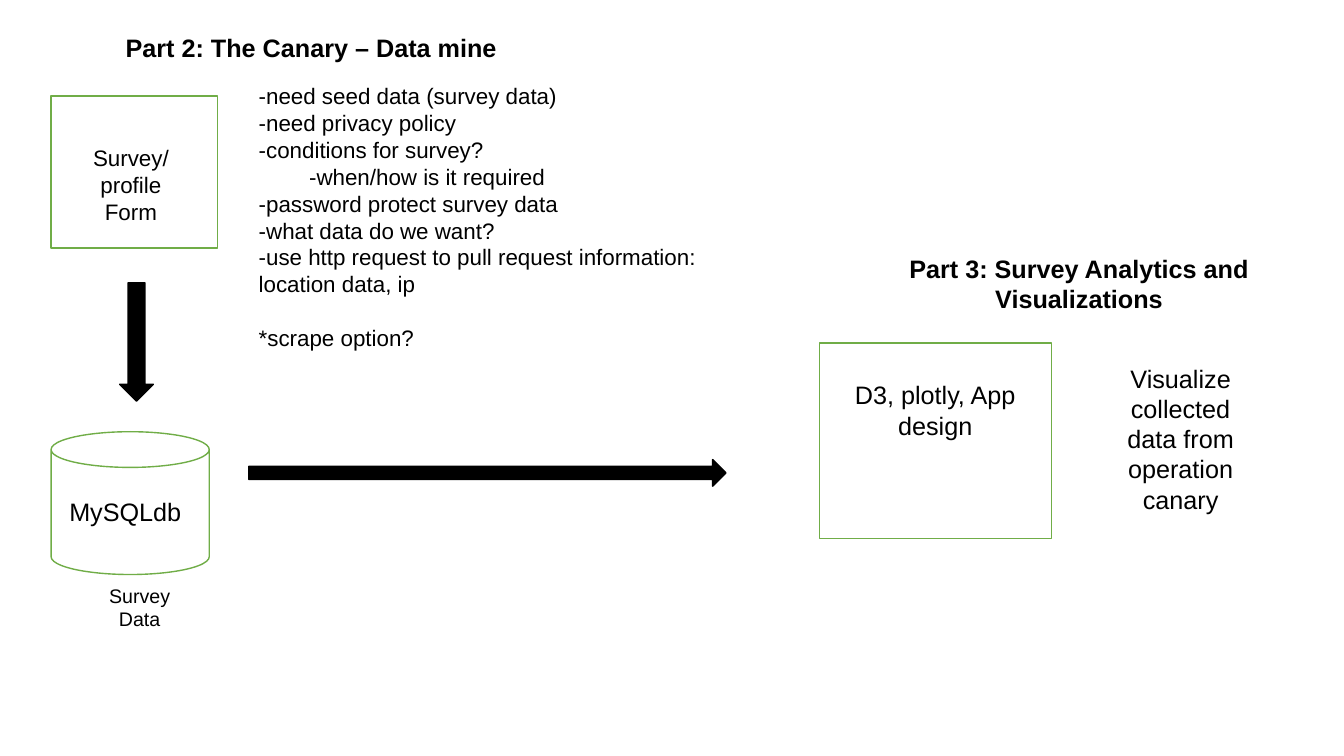
from dataclasses import dataclass

from pptx import Presentation
from pptx import util as u
from pptx.dml.color import RGBColor
from pptx.enum import shapes, text

BLACK = RGBColor(0x00, 0x00, 0x00)
WHITE = RGBColor(0xFF, 0xFF, 0xFF)
GREEN = RGBColor(0x70, 0xAD, 0x47)
SHAPE = shapes.MSO_SHAPE
CENTER, LEFT = text.PP_ALIGN.CENTER, text.PP_ALIGN.LEFT


@dataclass(frozen=True)
class Figure:
    kind: SHAPE
    frame: tuple[float, float, float, float]
    fill: RGBColor = WHITE
    line: RGBColor = GREEN


@dataclass(frozen=True)
class Label:
    lines: tuple[str, ...]
    frame: tuple[float, float, float, float]
    size: float = 18
    bold: bool = False
    align: text.PP_ALIGN = CENTER
    last_gap: float = 0


def draw_figure(slide, figure: Figure) -> None:
    shape = slide.shapes.add_shape(figure.kind, *map(u.Pt, figure.frame))
    shape.shadow.inherit = False
    shape.fill.solid()
    shape.fill.fore_color.rgb = figure.fill
    shape.line.color.rgb = figure.line
    shape.line.width = u.Pt(1)


def draw_label(slide, label: Label) -> None:
    box = slide.shapes.add_textbox(*map(u.Pt, label.frame))
    box.text_frame.word_wrap = True
    box.text_frame.text = "\n".join(label.lines)
    font_format = {"name": "Arial", "size": u.Pt(label.size), "bold": label.bold}
    for para in box.text_frame.paragraphs:
        para.alignment = label.align
        for span in para.runs:
            span.font.color.rgb = BLACK
            for name, value in font_format.items():
                setattr(span.font, name, value)
    if label.last_gap:
        para.space_before = u.Pt(label.last_gap)


FIGURES = (
    # Survey form, flowing down into the database
    Figure(SHAPE.FLOWCHART_PROCESS, (36.5, 68.7, 119, 108.5)),
    Figure(SHAPE.DOWN_ARROW, (85.5, 202, 24, 84.5), BLACK, BLACK),
    Figure(SHAPE.CAN, (36.5, 308.4, 113, 102)),
    # Database, flowing right into the analytics
    Figure(SHAPE.RIGHT_ARROW, (177.7, 328.3, 340.8, 19), BLACK, BLACK),
    Figure(SHAPE.FLOWCHART_PROCESS, (585.5, 245, 165.5, 139.7)),
)

NOTES = (
    "-need seed data (survey data)",
    "-need privacy policy",
    "-conditions for survey?",
    "\t-when/how is it required",
    "-password protect survey data",
    "-what data do we want?",
    "-use http request to pull request information: location data, ip",
    "*scrape option?",
)

LABELS = (
    # Part 2
    Label(("Part 2: The Canary – Data mine",), (79, 19.5, 286.5, 29), bold=True),
    Label(("Survey/", "profile Form"), (45, 99.4, 97, 65.5), size=16),
    Label(("MySQLdb",), (36.5, 351.2, 106, 29)),
    Label(NOTES, (177.7, 55.3, 340.8, 201), size=16, align=LEFT, last_gap=19),
    Label(("Survey Data",), (57, 413.3, 85.5, 41), size=14),
    # Part 3
    Label(("Part 3: Survey Analytics and Visualizations",),
          (640.5, 177.3, 260.5, 51), bold=True),
    Label(("D3, plotly, App design",), (603.5, 267.6, 129, 51)),
    Label(("Visualize collected data from operation canary",),
          (781.3, 255.8, 124, 116.5)),
)

deck = Presentation()
deck.slide_width, deck.slide_height = u.Pt(960), u.Pt(540)
page = deck.slides.add_slide(deck.slide_layouts[6])

# Outlines and arrows first, wording on top
for item in FIGURES:
    draw_figure(page, item)
for item in LABELS:
    draw_label(page, item)

deck.save("out.pptx")
